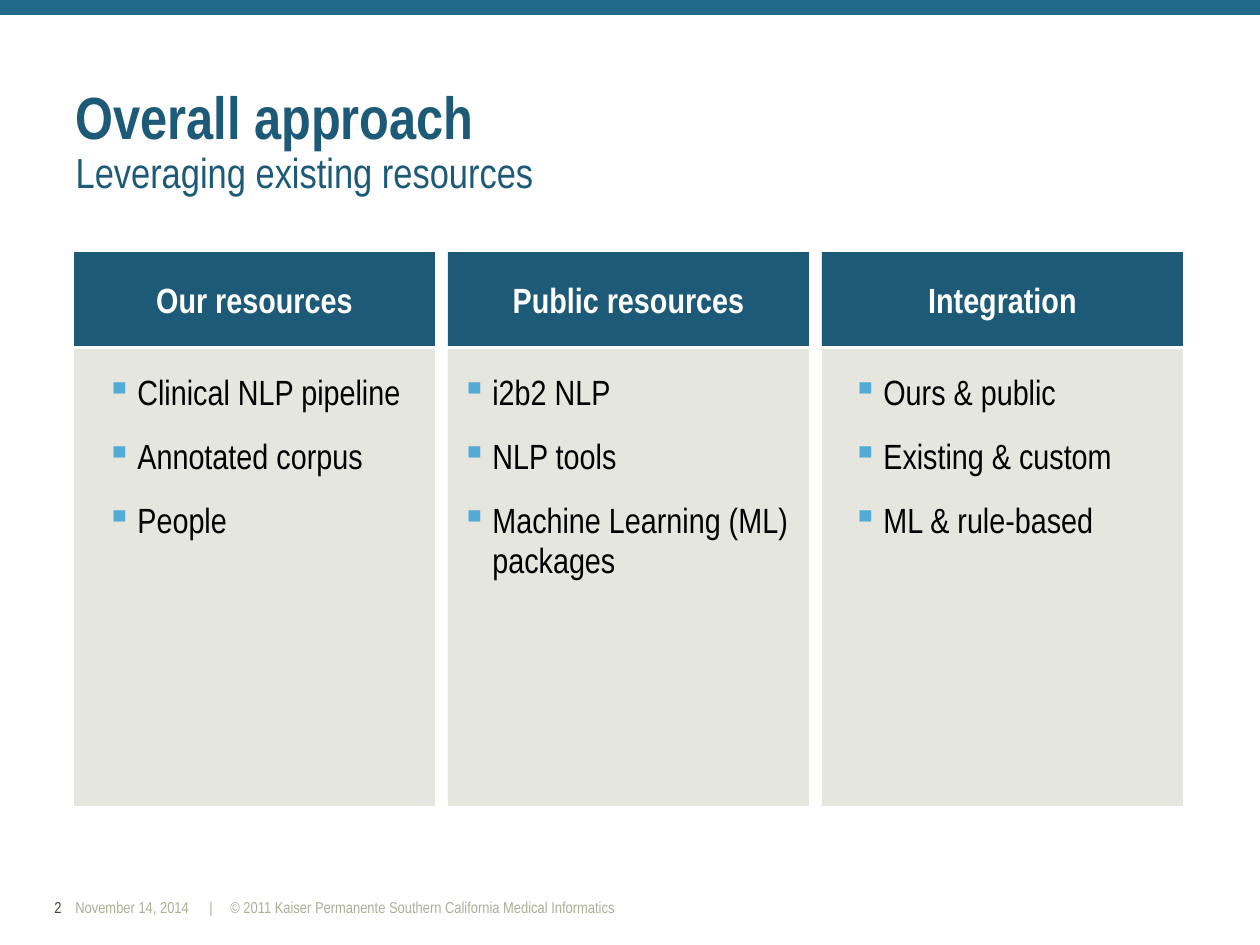
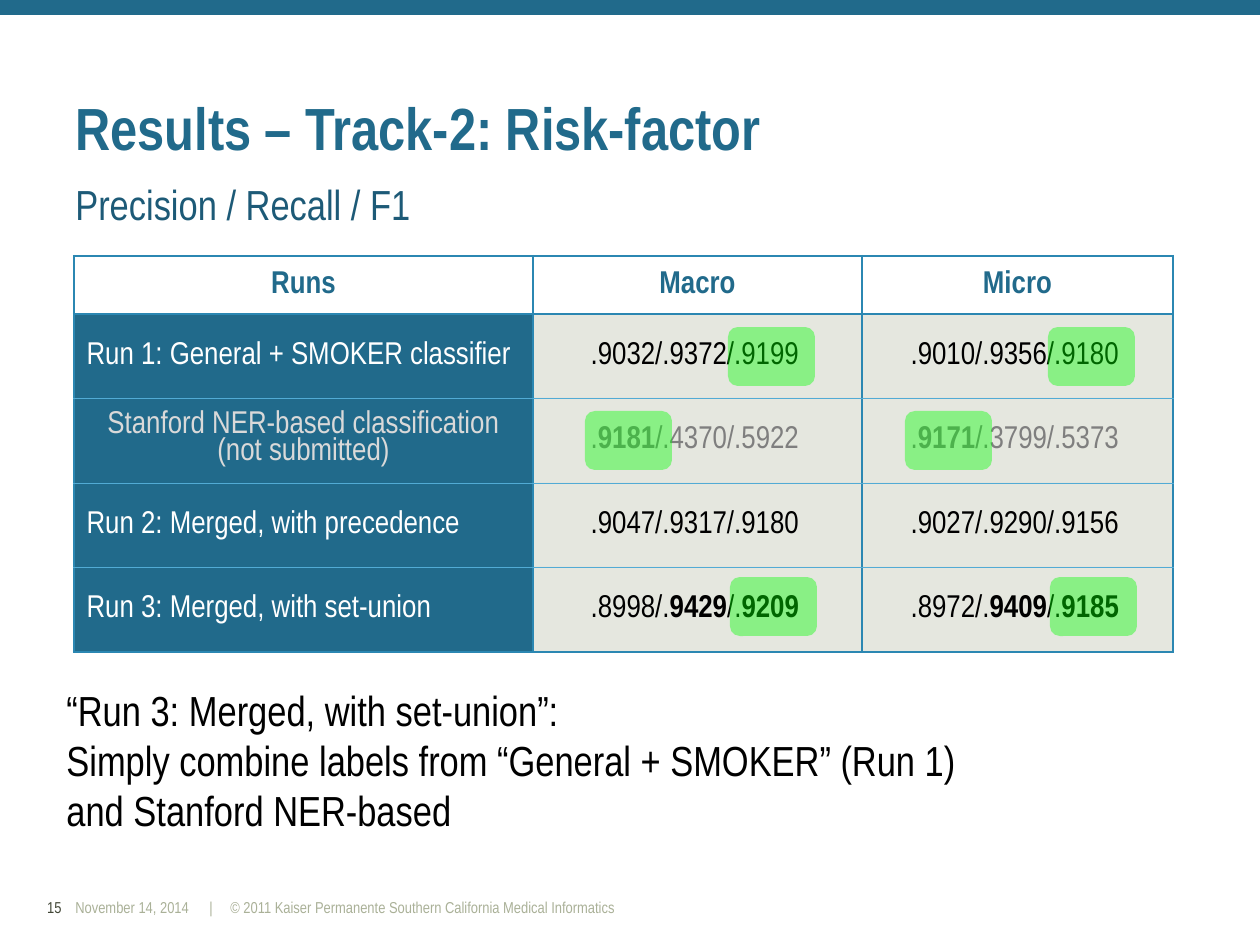
from lxml.etree import SubElement
from pptx import Presentation
from pptx.dml.color import RGBColor
from pptx.enum.shapes import MSO_SHAPE
from pptx.enum.text import MSO_ANCHOR, MSO_AUTO_SIZE, PP_ALIGN
from pptx.oxml import parse_xml
from pptx.oxml.ns import nsdecls, qn
from pptx.util import Emu, Pt

# Shared look
SCALE = 914400 / 126
FACE = "Arial Narrow"
HUES = {
    "band": "216A8B", "navy": "1D5A77", "stone": "AAB198", "olive": "414636",
    "sky": "52ABD5", "edge": "2B87B2", "mark": "00FF00", "white": "FFFFFF",
    "black": "000000", "pale": "D9D9D9", "gray": "7F7F7F",
}
LEFT, MID, RIGHT = PP_ALIGN.LEFT, PP_ALIGN.CENTER, PP_ALIGN.RIGHT
HEAD = {"size": 34, "bold": True}
SUB = {"size": 24, "hue": "navy"}
FOOT = {"size": 9, "hue": "stone"}

# Footer: text, box, alignment, hue
DATE = ("November 14, 2014", (63, 892, 176, 32))
RIGHTS = ("|\t© 2011 Kaiser Permanente Southern California Medical Informatics",
          (197, 892, 631, 32))
NUMBER = (10, 892, 64, 32)

# Approach: heading, bullet box, bullets
CARDS = [
    ("Our resources", (94, 367, 331, 181),
     ["Clinical NLP pipeline", "Annotated corpus", "People"]),
    ("Public resources", (449, 367, 376, 220),
     ["i2b2 NLP", "NLP tools", "Machine Learning (ML) packages"]),
    ("Integration", (840, 367, 331, 244),
     ["Ours & public", "Existing & custom", "ML & rule-based"]),
]
CARD = {"left": 74, "step": 374, "wide": 361}

# Results: stars enclose bold digits
HEADS = ["Runs", "Macro", "Micro"]
RUNS = [
    ("Run 1: General + SMOKER classifier", ".9032/.9372/.9199", ".9010/.9356/.9180"),
    ("Stanford NER-based classification\n(not submitted)",
     ".*9181*/.4370/.5922", ".*9171*/.3799/.5373"),
    ("Run 2: Merged, with precedence", ".9047/.9317/.9180", ".9027/.9290/.9156"),
    ("Run 3: Merged, with set-union", ".8998/.*9429*/.*9209*", ".8972/.*9409*/.*9185*"),
]
MUTED = 2
COLS = [459, 329, 311]
ROWS = [58, 84, 85, 84, 85]
MARKS = [(728, 327), (585, 411), (730, 577)]
SHIFT = 320
NOTE = [
    "“Run 3: Merged, with set-union”:",
    "Simply combine labels from “General + SMOKER” (Run 1) and Stanford NER-based",
]


def px(num):
    return Emu(round(num * SCALE))


def paint(fill, hue, alpha=None):
    fill.solid()
    fill.fore_color.rgb = RGBColor.from_string(HUES[hue])
    if alpha:
        tone = fill._xPr.find(qn("a:solidFill"))[0]
        SubElement(tone, qn("a:alpha"), val=str(alpha * 1000))


def write(para, text, size, hue, bold=False, **form):
    """Fill a paragraph; stars toggle bold and newlines break the line."""
    for key, value in form.items():
        setattr(para, key, value)
    for part, piece in enumerate(text.split("*")):
        for line, words in enumerate(piece.split("\n")):
            if line:
                para.add_line_break()
            if not words:
                continue
            run = para.add_run()
            run.text = words
            look = {"name": FACE, "size": Pt(size), "bold": bold or part % 2 == 1}
            for key, value in look.items():
                setattr(run.font, key, value)
            run.font.color.rgb = RGBColor.from_string(HUES[hue])


def label(slide, box, lines, **form):
    frame = slide.shapes.add_textbox(*map(px, box)).text_frame
    frame.word_wrap = True
    for num, text in enumerate(lines):
        para = frame.add_paragraph() if num else frame.paragraphs[0]
        write(para, text, **form)
    return frame.paragraphs


def block(slide, box, hue, alpha=None, kind=MSO_SHAPE.RECTANGLE):
    shape = slide.shapes.add_shape(kind, *map(px, box))
    shape.shadow.inherit = False
    shape.line.fill.background()
    paint(shape.fill, hue, alpha)
    return shape


def start(deck, number, box):
    """Add a slide with band, footer and placed title; return slide and title line."""
    slide = deck.slides.add_slide(deck.slide_layouts[5])
    block(slide, (0, 0, 1260, 15), "band")
    label(slide, NUMBER, [number], size=9, hue="olive", alignment=RIGHT)
    label(slide, DATE[1], [DATE[0]], **FOOT)
    rights = label(slide, RIGHTS[1], [RIGHTS[0]], **FOOT)[0]
    tabs = SubElement(rights._p.get_or_add_pPr(), qn("a:tabLst"))
    SubElement(tabs, qn("a:tab"), pos=str(px(21)), algn="l")
    title = slide.shapes.title
    for key, value in zip(("left", "top", "width", "height"), box):
        setattr(title, key, px(value))
    frame = title.text_frame
    form = {"word_wrap": True, "auto_size": MSO_AUTO_SIZE.NONE,
            "vertical_anchor": MSO_ANCHOR.BOTTOM}
    for key, value in form.items():
        setattr(frame, key, value)
    para = frame.paragraphs[0]
    para.alignment, para.line_spacing = LEFT, 0.9
    return slide, para


def bullet(para, first):
    para.line_spacing = 0.95
    para.space_before = Pt(0 if first else 13.8)
    props = para._p.get_or_add_pPr()
    props.set("marL", str(px(31)))
    props.set("indent", str(-px(31)))
    tone = SubElement(props, qn("a:buClr"))
    SubElement(tone, qn("a:srgbClr"), val=HUES["sky"])
    SubElement(props, qn("a:buChar"), char="▪")


def border(cell, row, col):
    """Heavy outer frame, medium header rule and columns, fine row rules."""
    heavy, rule, fine = ("edge", 1.47), ("edge", 1.08), ("sky", 0.34)
    rows = [heavy, rule] + [fine] * (len(RUNS) - 1) + [heavy]
    cols = [heavy, rule, rule, heavy]
    sides = {"L": cols[col], "R": cols[col + 1], "T": rows[row], "B": rows[row + 1]}
    props = cell._tc.get_or_add_tcPr()
    for num, (side, (hue, width)) in enumerate(sides.items()):
        props.insert(num, parse_xml(
            f'<a:ln{side} {nsdecls("a")} w="{Pt(width)}"><a:solidFill>'
            f'<a:srgbClr val="{HUES[hue]}"/></a:solidFill></a:ln{side}>'))


def approach(deck):
    slide, title = start(deck, "2", (63, 79, 1134, 125))
    write(title, "Overall approach", hue="navy", **HEAD)
    title.add_line_break()
    write(title, "Leveraging existing resources", **SUB)
    # Three cards
    for num, (name, box, items) in enumerate(CARDS):
        left = CARD["left"] + num * CARD["step"]
        block(slide, (left, 349, CARD["wide"], 457), "stone", 30)
        head = block(slide, (left, 252, CARD["wide"], 94), "navy")
        head.text_frame.vertical_anchor = MSO_ANCHOR.MIDDLE
        write(head.text_frame.paragraphs[0], name, 20, "white", True, alignment=MID)
        for spot, para in enumerate(label(slide, box, items, size=20, hue="black")):
            bullet(para, spot == 0)


def results(deck):
    slide, title = start(deck, "15", (63, 92, 1134, 78))
    write(title, "Results – Track-2: Risk-factor", hue="band", **HEAD)
    # Score table
    area = (74, 256, sum(COLS), sum(ROWS))
    grid = slide.shapes.add_table(len(ROWS), len(COLS), *map(px, area)).table
    grid.first_row = grid.horz_banding = False
    for part, size in zip(grid.columns, COLS):
        part.width = px(size)
    for part, size in zip(grid.rows, ROWS):
        part.height = px(size)
    for row, texts in enumerate([HEADS, *RUNS]):
        for col, text in enumerate(texts):
            cell = grid.cell(row, col)
            cell.vertical_anchor = MSO_ANCHOR.MIDDLE
            form = {"hue": "black", "alignment": MID, "line_spacing": 0.95}
            if row == 0:
                cell.fill.background()
                form.update(hue="band", bold=True)
            elif col == 0:
                paint(cell.fill, "band")
                form.update(hue="white", alignment=LEFT)
                if row == MUTED:
                    form.update(hue="pale", alignment=MID, line_spacing=Pt(15.5))
            else:
                paint(cell.fill, "stone", 30)
                cell.margin_right = px(18)
                if row == MUTED:
                    form["hue"] = "gray"
            write(cell.text_frame.paragraphs[0], text, 18, **form)
            border(cell, row, col)
    # Captions
    label(slide, (63, 178, 1134, 58), ["Precision / Recall / F1"], line_spacing=0.9, **SUB)
    label(slide, (54, 678, 976, 164), NOTE, size=24, hue="black")
    # Best scores
    for left, top in MARKS:
        for shift in (SHIFT, 0):
            block(slide, (left + shift, top, 87, 59), "mark", 40,
                  MSO_SHAPE.ROUNDED_RECTANGLE)


def main():
    deck = Presentation()
    deck.slide_width, deck.slide_height = px(1260), px(945)
    approach(deck)
    results(deck)
    deck.save("out.pptx")


if __name__ == "__main__":
    main()
